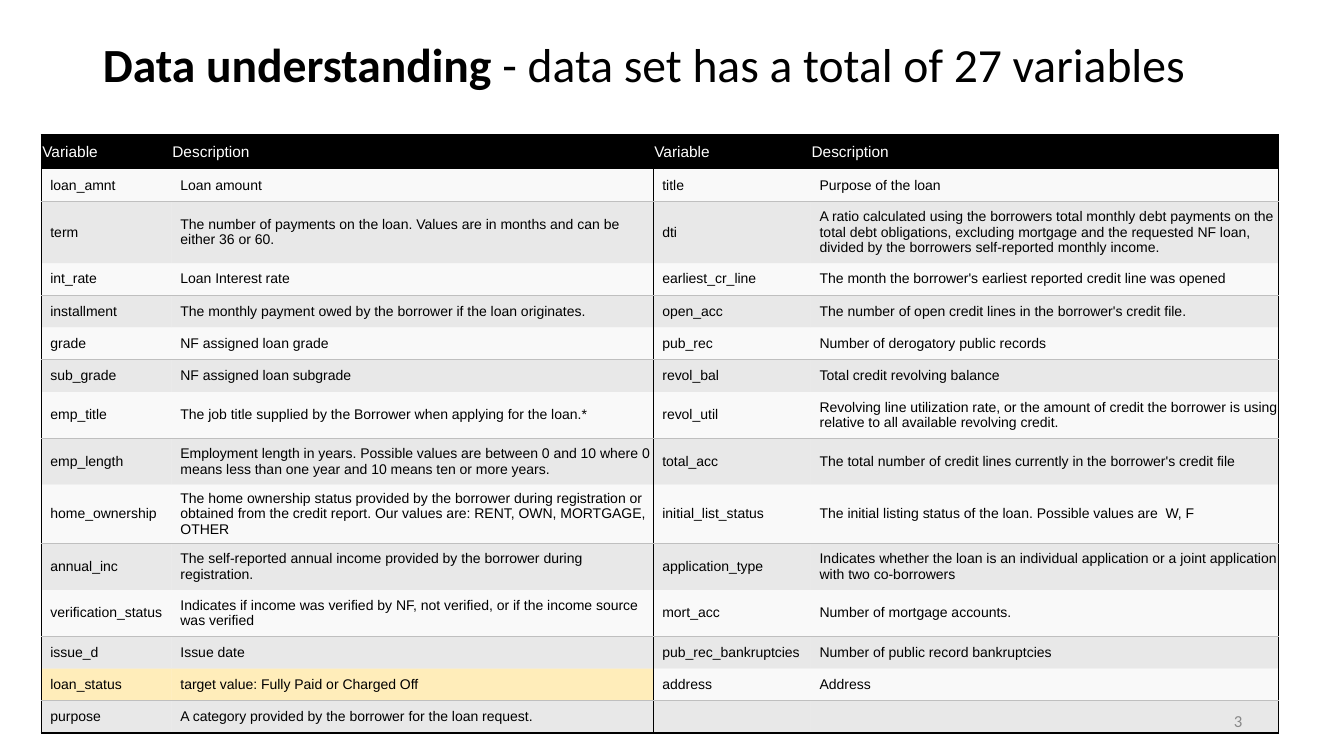
import dataclasses
import typing

import lxml.etree
import pptx
import pptx.dml.color
import pptx.enum.text
import pptx.oxml.ns
import pptx.table
import pptx.text.text
import pptx.util

Inches = pptx.util.Inches
Pt = pptx.util.Pt
qn = pptx.oxml.ns.qn


@dataclasses.dataclass(frozen=True)
class Theme:
    title_font: str = "Calibri"
    table_font: str = "Arial"
    title_size: int = 34
    number_size: int = 12
    header_size: int = 11
    body_size: int = 10
    black: str = "000000"
    white: str = "FFFFFF"
    light: str = "F2F2F2"
    dark: str = "BFBFBF"
    highlight: str = "FFD966"
    muted: str = "888888"
    light_alpha: int = 45
    dark_alpha: int = 35


@dataclasses.dataclass(frozen=True)
class Row:
    name: str
    description: str
    right_name: str
    right_description: str
    height: float = 0.32
    target: bool = False


THEME = Theme()
COLUMN_WIDTHS = (1.29, 4.78, 1.56, 4.64)
TWO_LINES = 0.46
THREE_LINES = 0.61

HEADER = Row("Variable", "Description", "Variable", "Description", 0.34)
ROWS = (
    Row("loan_amnt", "Loan amount", "title", "Purpose of the loan"),
    Row("term",
        "The number of payments on the loan. Values are in months and can be either 36 or 60.",
        "dti",
        "A ratio calculated using the borrowers total monthly debt payments on the total debt "
        "obligations, excluding mortgage and the requested NF loan, divided by the borrowers "
        "self-reported monthly income.", THREE_LINES),
    Row("int_rate", "Loan Interest rate", "earliest_cr_line",
        "The month the borrower's earliest reported credit line was opened"),
    Row("installment", "The monthly payment owed by the borrower if the loan originates.",
        "open_acc", "The number of open credit lines in the borrower's credit file."),
    Row("grade", "NF assigned loan grade", "pub_rec", "Number of derogatory public records"),
    Row("sub_grade", "NF assigned loan subgrade", "revol_bal", "Total credit revolving balance"),
    Row("emp_title", "The job title supplied by the Borrower when applying for the loan.*",
        "revol_util",
        "Revolving line utilization rate, or the amount of credit the borrower is using "
        "relative to all available revolving credit.", TWO_LINES),
    Row("emp_length",
        "Employment length in years. Possible values are between 0 and 10 where 0 means less "
        "than one year and 10 means ten or more years.",
        "total_acc",
        "The total number of credit lines currently in the borrower's credit file", TWO_LINES),
    Row("home_ownership",
        "The home ownership status provided by the borrower during registration or obtained "
        "from the credit report. Our values are: RENT, OWN, MORTGAGE, OTHER",
        "initial_list_status",
        "The initial listing status of the loan. Possible values are  W, F", TWO_LINES),
    Row("annual_inc",
        "The self-reported annual income provided by the borrower during registration.",
        "application_type",
        "Indicates whether the loan is an individual application or a joint application with "
        "two co-borrowers", TWO_LINES),
    Row("verification_status",
        "Indicates if income was verified by NF, not verified, or if the income source was "
        "verified",
        "mort_acc", "Number of mortgage accounts.", TWO_LINES),
    Row("issue_d", "Issue date", "pub_rec_bankruptcies", "Number of public record bankruptcies"),
    Row("loan_status", "target value: Fully Paid or Charged Off", "address", "Address",
        target=True),
    Row("purpose", "A category provided by the borrower for the loan request.", "", ""),
)


def format_run(r: pptx.text.text._Run, font: str, size: int, color: str,
               bold: bool = False) -> None:
    r.font.name = font
    r.font.size = Pt(size)
    r.font.bold = bold
    r.font.color.rgb = pptx.dml.color.RGBColor.from_string(color)


def set_borders(cell: pptx.table._Cell, borders: typing.Dict[str, str]) -> None:
    tc_pr = cell._tc.get_or_add_tcPr()
    for side in "LRTB":
        ln = lxml.etree.SubElement(tc_pr, qn(f"a:ln{side}"), w=str(Pt(1)))
        if side in borders:
            fill = lxml.etree.SubElement(ln, qn("a:solidFill"))
            lxml.etree.SubElement(fill, qn("a:srgbClr"), val=borders[side])
        else:
            lxml.etree.SubElement(ln, qn("a:noFill"))


def set_fill(cell: pptx.table._Cell, color: str, alpha: int) -> None:
    cell.fill.solid()
    cell.fill.fore_color.rgb = pptx.dml.color.RGBColor.from_string(color)
    if alpha < 100:
        clr = cell._tc.tcPr.find(f"{qn('a:solidFill')}/{qn('a:srgbClr')}")
        lxml.etree.SubElement(clr, qn("a:alpha"), val=str(alpha * 1000))


def set_text(cell: pptx.table._Cell, text: str, size: int, color: str, indent: float) -> None:
    cell.vertical_anchor = pptx.enum.text.MSO_ANCHOR.MIDDLE
    cell.margin_left = cell.margin_right = Inches(0.01)
    cell.margin_top = cell.margin_bottom = Inches(0.06)
    p = cell.text_frame.paragraphs[0]
    p.text = text
    p._p.get_or_add_pPr().set("marL", str(Inches(indent)))
    for r in p.runs:
        format_run(r, THEME.table_font, size, color)
    if not text:
        lxml.etree.SubElement(p._p, qn("a:endParaRPr"), sz=str(size * 100))


def draw_row(table: pptx.table.Table, index: int, row: Row) -> None:
    header, dark = index == 0, index % 2 == 0
    table.rows[index].height = Inches(row.height)
    borders = {"T": THEME.black} if header else {"T" if dark else "B": THEME.dark}
    if index == len(ROWS):
        borders["B"] = THEME.black
    texts = (row.name, row.description, row.right_name, row.right_description)
    for column, text in enumerate(texts):
        cell = table.cell(index, column)
        side = "R" if column % 2 else "L"
        set_borders(cell, {**borders, side: THEME.black})
        if header:
            set_fill(cell, THEME.black, 100)
            set_text(cell, text, THEME.header_size, THEME.white, 0)
            continue
        if dark:
            set_fill(cell, THEME.dark, THEME.dark_alpha)
        else:
            marked = row.target and column < 2
            set_fill(cell, THEME.highlight if marked else THEME.light, THEME.light_alpha)
        set_text(cell, text, THEME.body_size, THEME.black, 0.08)


def main() -> None:
    prs = pptx.Presentation()
    prs.slide_width, prs.slide_height = Inches(13.33), Inches(7.5)
    s = prs.slides.add_slide(prs.slide_layouts[5])

    title = s.shapes.title
    title.left, title.top, title.width, title.height = map(Inches, (0.92, 0.32, 11.5, 0.65))
    tf = title.text_frame
    tf.auto_size = pptx.enum.text.MSO_AUTO_SIZE.NONE
    tf.vertical_anchor = pptx.enum.text.MSO_ANCHOR.BOTTOM
    p = tf.paragraphs[0]
    p.alignment = pptx.enum.text.PP_ALIGN.LEFT
    p.line_spacing = 0.9
    for text, bold in (("Data understanding ", True),
                       ("- data set has a total of 27 variables", False)):
        r = p.add_run()
        r.text = text
        format_run(r, THEME.title_font, THEME.title_size, THEME.black, bold)

    rows = (HEADER, *ROWS)
    frame = s.shapes.add_table(
        len(rows), len(COLUMN_WIDTHS), Inches(0.41), Inches(1.34),
        Inches(sum(COLUMN_WIDTHS)), Inches(sum(row.height for row in rows)))
    frame.element.xpath(".//a:tableStyleId")[0].text = "{2D5ABB26-0587-4C30-8999-92F81FD0307C}"
    table = frame.table
    table.horz_banding = False
    for column, width in zip(table.columns, COLUMN_WIDTHS):
        column.width = Inches(width)
    for index, row in enumerate(rows):
        draw_row(table, index, row)

    number = s.shapes.add_textbox(Inches(9.42), Inches(6.95), Inches(3), Inches(0.4))
    tf = number.text_frame
    tf.word_wrap = True
    tf.vertical_anchor = pptx.enum.text.MSO_ANCHOR.MIDDLE
    p = tf.paragraphs[0]
    p.text = "3"
    p.alignment = pptx.enum.text.PP_ALIGN.RIGHT
    format_run(p.runs[0], THEME.title_font, THEME.number_size, THEME.muted)

    prs.save("out.pptx")


if __name__ == "__main__":
    main()
